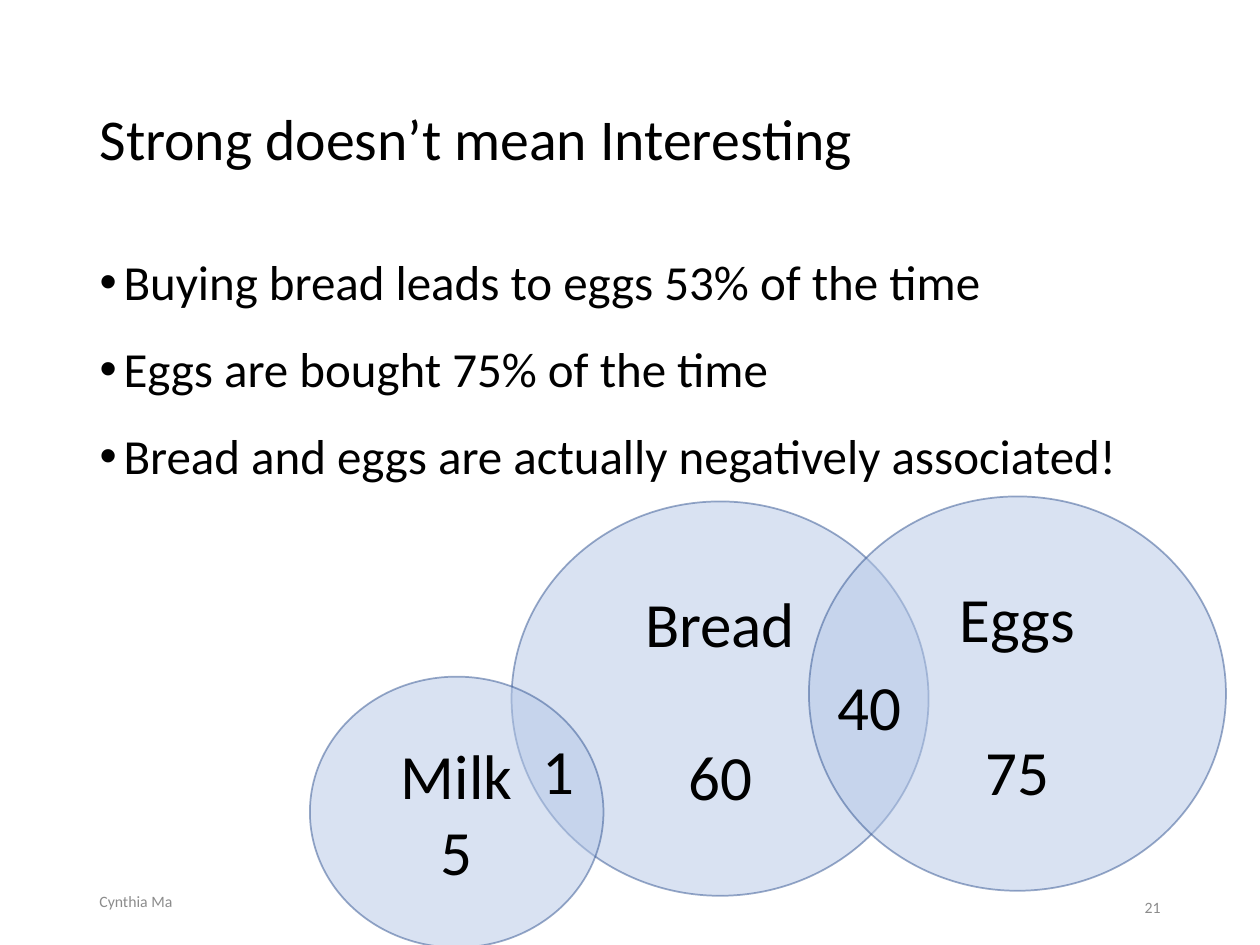
from dataclasses import dataclass

from lxml import etree
from pptx import Presentation
from pptx.dml.color import RGBColor
from pptx.enum.shapes import MSO_SHAPE
from pptx.enum.text import MSO_ANCHOR, MSO_AUTO_SIZE, PP_ALIGN
from pptx.oxml.ns import qn
from pptx.util import Inches, Pt

ELLIPSE = MSO_SHAPE.OVAL
MIDDLE, TOP = MSO_ANCHOR.MIDDLE, MSO_ANCHOR.TOP
LEFT, CENTER, RIGHT = PP_ALIGN.LEFT, PP_ALIGN.CENTER, PP_ALIGN.RIGHT

BLACK = RGBColor(0x00, 0x00, 0x00)
GRAY = RGBColor(0x8C, 0x8C, 0x8C)
SET_FILL = RGBColor(0xB4, 0xC7, 0xE7)
SET_LINE = RGBColor(0x32, 0x54, 0x91)

FONT = "Calibri"
BULLETS = [
    "Buying bread leads to eggs 53% of the time",
    "Eggs are bought 75% of the time",
    "Bread and eggs are actually negatively associated!",
]


@dataclass
class ItemSet:
    name: str
    count: str
    left: float
    top: float
    width: float
    height: float
    gap: float = 0  # points between name and count


@dataclass
class Label:
    text: str
    left: float
    top: float
    width: float
    height: float
    size: float = 36
    color: RGBColor = BLACK
    align: PP_ALIGN = LEFT
    anchor: MSO_ANCHOR = TOP


BREAD = ItemSet("Bread", "60", 4.06, 3.98, 3.31, 3.13, gap=44)
EGGS = ItemSet("Eggs", "75", 6.42, 3.94, 3.31, 3.13, gap=44)
MILK = ItemSet("Milk", "5", 2.46, 5.37, 2.33, 2.15)
BREAD_AND_EGGS = Label("40", 6.55, 5.25, 0.83, 0.71)
BREAD_AND_MILK = Label("1", 4.21, 5.76, 0.83, 0.71)
AUTHOR = Label("Cynthia Ma", 0.69, 6.95, 2.25, 0.4, 9, GRAY, LEFT, MIDDLE)
PAGE_NUMBER = Label("21", 7.06, 7, 2.25, 0.4, 9, GRAY, RIGHT, MIDDLE)


def format_text(frame, size: float, color: RGBColor, align: PP_ALIGN) -> None:
    for para in frame.paragraphs:
        para.alignment = align
        for span in para.runs:
            span.font.name = FONT
            span.font.size = Pt(size)
            span.font.color.rgb = color


def place(shape, left: float, top: float, width: float, height: float) -> None:
    shape.left, shape.top = Inches(left), Inches(top)
    shape.width, shape.height = Inches(width), Inches(height)


def make_half_transparent(shape) -> None:
    for color in shape._element.spPr.iter(qn("a:srgbClr")):
        etree.SubElement(color, qn("a:alpha"), val="50000")


def add_bullet(para) -> None:
    properties = para._p.get_or_add_pPr()
    properties.set("marL", str(Inches(0.19)))
    properties.set("indent", str(Inches(-0.19)))
    etree.SubElement(properties, qn("a:buFont"), typeface="Arial")
    etree.SubElement(properties, qn("a:buChar"), char="•")


def draw_set(page, item: ItemSet) -> None:
    circle = page.shapes.add_shape(
        ELLIPSE, Inches(item.left), Inches(item.top), Inches(item.width), Inches(item.height)
    )
    circle.shadow.inherit = False
    circle.fill.solid()
    circle.fill.fore_color.rgb = SET_FILL
    circle.line.color.rgb = SET_LINE
    circle.line.width = Pt(1)
    make_half_transparent(circle)
    frame = circle.text_frame
    frame.text = f"{item.name}\n{item.count}"
    frame.vertical_anchor = MIDDLE
    frame.paragraphs[1].space_before = Pt(item.gap)
    format_text(frame, 36, BLACK, CENTER)


def draw_label(page, label: Label) -> None:
    box = page.shapes.add_textbox(
        Inches(label.left), Inches(label.top), Inches(label.width), Inches(label.height)
    )
    frame = box.text_frame
    frame.word_wrap = True
    frame.vertical_anchor = label.anchor
    frame.text = label.text
    format_text(frame, label.size, label.color, label.align)


def main() -> None:
    deck = Presentation()
    deck.slide_width, deck.slide_height = Inches(10), Inches(7.5)
    page = deck.slides.add_slide(deck.slide_layouts[1])

    # Title
    title = page.shapes.title
    place(title, 0.69, 0.4, 8.62, 1.45)
    title.text_frame.text = "Strong doesn’t mean Interesting"
    title.text_frame.auto_size = MSO_AUTO_SIZE.NONE
    title.text_frame.vertical_anchor = MIDDLE
    title.text_frame.paragraphs[0].line_spacing = 0.9
    format_text(title.text_frame, 33, BLACK, LEFT)

    # Bullet list
    body = page.placeholders[1]
    place(body, 0.69, 2, 8.62, 4.76)
    body.text_frame.text = "\n".join(BULLETS)
    body.text_frame.auto_size = MSO_AUTO_SIZE.NONE
    for para in body.text_frame.paragraphs:
        para.line_spacing = 0.9
        para.space_before = Pt(19.5)
        add_bullet(para)
    format_text(body.text_frame, 28, BLACK, LEFT)

    # Footer
    draw_label(page, AUTHOR)
    draw_label(page, PAGE_NUMBER)

    # Venn diagram
    draw_set(page, BREAD)
    draw_set(page, EGGS)
    draw_label(page, BREAD_AND_EGGS)
    draw_set(page, MILK)
    draw_label(page, BREAD_AND_MILK)

    deck.save("out.pptx")


if __name__ == "__main__":
    main()
